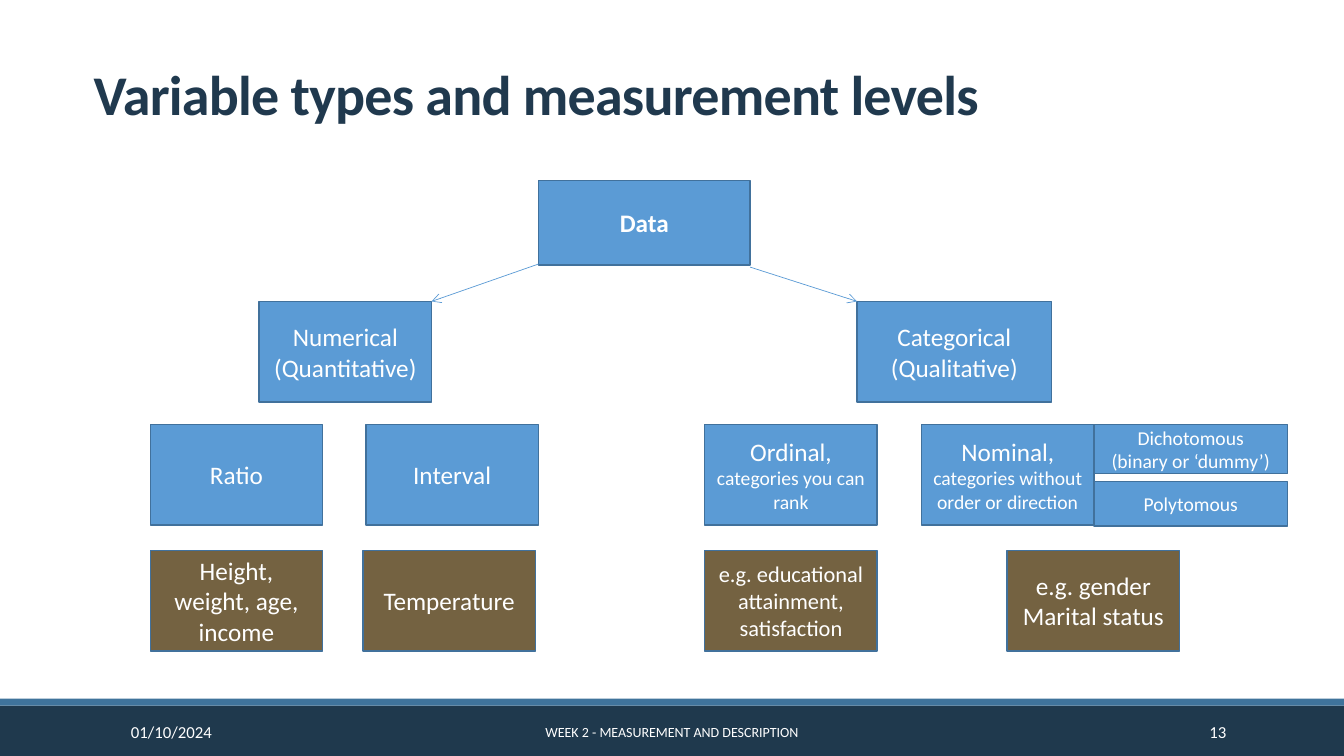
from dataclasses import dataclass

from lxml.etree import SubElement
from pptx import Presentation
from pptx.dml.color import RGBColor as RGB
from pptx.enum.shapes import MSO_CONNECTOR as LINE, MSO_SHAPE as SHAPE
from pptx.enum.text import MSO_ANCHOR as ANCHOR, PP_ALIGN as ALIGN
from pptx.oxml.ns import qn
from pptx.util import Inches, Pt


@dataclass(frozen=True)
class Theme:
    font: str = "Calibri"
    white: str = "FFFFFF"
    title: str = "20394E"
    footer: str = "1F394D"
    stripe: str = "3F739B"
    node: str = "5B9BD5"
    example: str = "746241"
    border: str = "41719C"
    title_size: int = 40
    body: int = 18
    medium: int = 16
    small: int = 14
    date_size: int = 12
    caption: int = 10


class SlideBuilder:
    """Draws on a grid of 100 columns by 100 rows."""

    def __init__(self, prs, theme):
        self.theme = theme
        self.slide = prs.slides.add_slide(prs.slide_layouts[6])
        self.col = prs.slide_width / 100
        self.row = prs.slide_height / 100

    def place(self, x, y, *size):
        return [round(n * unit) for n, unit in
                zip((x, y, *size), (self.col, self.row) * 2)]

    def add_text(self, sp, lines, color, align=ALIGN.CENTER, anchor=ANCHOR.MIDDLE,
                 bold=False, spacing=None):
        """Fill a shape; each line is a list of (text, size) runs."""
        tf = sp.text_frame
        tf.word_wrap = True
        tf.vertical_anchor = anchor
        for i, line in enumerate(lines):
            p = tf.add_paragraph() if i else tf.paragraphs[0]
            p.alignment = align
            for text, size in line:
                r = p.add_run()
                r.text = text
                r.font.name = self.theme.font
                r.font.size = Pt(size)
                r.font.bold = bold
                r.font.color.rgb = RGB.from_string(color)
                if spacing is not None:
                    r._r.get_or_add_rPr().set("spc", str(round(spacing * 100)))

    def rect(self, x, y, w, h, fill):
        sp = self.slide.shapes.add_shape(SHAPE.RECTANGLE, *self.place(x, y, w, h))
        sp.shadow.inherit = False
        sp.fill.solid()
        sp.fill.fore_color.rgb = RGB.from_string(fill)
        sp.line.fill.background()
        return sp

    def bar(self, y, height, fill):
        self.rect(0, y, 100, height, fill)

    def box(self, x, y, w, h, lines, fill=None, bold=False):
        sp = self.rect(x, y, w, h, fill or self.theme.node)
        sp.line.color.rgb = RGB.from_string(self.theme.border)
        sp.line.width = Pt(1)
        self.add_text(sp, lines, self.theme.white, bold=bold)

    def label(self, x, y, w, h, text, size, color, **style):
        sp = self.slide.shapes.add_textbox(*self.place(x, y, w, h))
        self.add_text(sp, [[(text, size)]], color, **style)

    def arrow(self, start, end):
        sp = self.slide.shapes.add_connector(
            LINE.STRAIGHT, *self.place(*start), *self.place(*end))
        sp.line.color.rgb = RGB.from_string(self.theme.node)
        sp.line.width = Pt(0.5)
        sp_pr = sp._element.spPr
        SubElement(sp_pr.find(qn("a:ln")), qn("a:tailEnd"), type="arrow")
        SubElement(sp_pr, qn("a:effectLst"))


def main():
    prs = Presentation()
    prs.slide_width, prs.slide_height = Inches(13.33), Inches(7.5)
    th = Theme()
    s = SlideBuilder(prs, th)

    s.bar(93.33, 6.67, th.footer)
    s.bar(92.4, 0.93, th.stripe)
    s.label(6.23, 4.13, 77.49, 13.33, "Variable types and measurement levels",
            th.title_size, th.title, align=ALIGN.LEFT, anchor=ANCHOR.BOTTOM,
            bold=True, spacing=-0.5)

    box_w, box_h = 12.83, 13.33
    branch_y, level_y, example_y = 39.87, 56.13, 72.8

    s.box(40.06, 23.87, 15.75, 11.2, [[("Data", th.body)]], bold=True)
    for x, w, name, kind in ((19.28, box_w, "Numerical", "(Quantitative)"),
                             (63.77, 14.48, "Categorical", "(Qualitative)")):
        s.box(x, branch_y, w, box_h, [[(name, th.body)], [(kind, th.body)]])
    s.arrow((55.81, 35.33), (63.77, branch_y))
    s.arrow((40.06, 34.93), (32.11, branch_y))

    levels = (
        (11.18, [("Ratio", th.body)]),
        (27.23, [("Interval", th.body)]),
        (52.44, [("Ordinal, ", th.body), ("categories you can rank", th.small)]),
        (68.57, [("Nominal, ", th.body),
                 ("categories without order or direction", th.small)]),
    )
    for x, runs in levels:
        s.box(x, level_y, box_w, box_h, [runs])

    examples = (
        (11.18, th.body, ["Height, weight, age, income"]),
        (27.01, th.body, ["Temperature"]),
        (52.44, th.medium, ["e.g. educational attainment, satisfaction"]),
        (74.94, th.body, ["e.g. gender", "Marital status"]),
    )
    for x, size, texts in examples:
        s.box(x, example_y, box_w, box_h, [[(t, size)] for t in texts], th.example)

    nominal_kinds = ((level_y, 6.53, ["Dichotomous", "(binary or ‘dummy’)"]),
                     (63.73, 5.87, ["Polytomous"]))
    for y, h, texts in nominal_kinds:
        s.box(81.4, y, 14.4, h, [[(t, th.small)] for t in texts])

    footer = (
        (9, 20.26, "01/10/2024", th.date_size, ALIGN.LEFT),
        (30.23, 39.53, "WEEK 2 - MEASUREMENT AND DESCRIPTION", th.caption, ALIGN.CENTER),
        (81.25, 10.73, "13", th.date_size, ALIGN.RIGHT),
    )
    for x, w, text, size, align in footer:
        s.label(x, 94.13, w, 5.33, text, size, th.white, align=align)

    prs.save("out.pptx")


if __name__ == "__main__":
    main()
